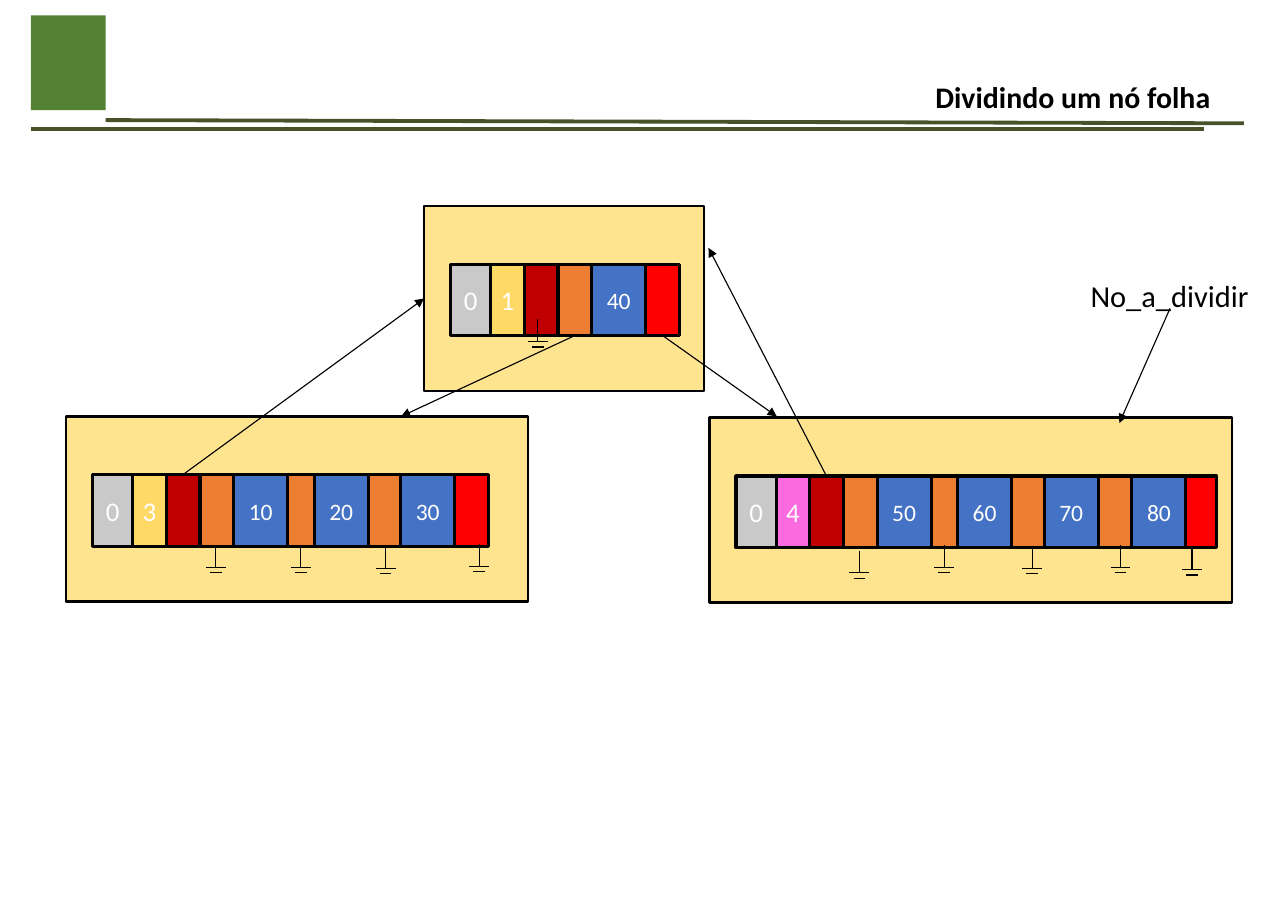
from lxml import etree
from pptx import Presentation
from pptx import util as u
from pptx.dml.color import RGBColor
from pptx.enum import shapes, text
from pptx.oxml.ns import qn


def colour(value):
    """Turn a hex string into a colour."""
    return RGBColor.from_string(value)


class TreeSlide:
    """Holds the style and the current slide, and draws each kind of element."""

    font = "Calibri"
    ink = "000000"
    grey, yellow, pink, wine = "C9C9C9", "FFD966", "FC6AE0", "C00000"
    orange, blue, red = "ED7D31", "4472C4", "FF0000"
    node_height, cell_height = 121, 46.8
    cell_left, cell_top = 17.3, 38.2

    def __init__(self, slide):
        """Keep the slide to draw on."""
        self.slide = slide

    def set_text(self, frame, words, size, ink, align, bold=False):
        """Fill a text frame with one formatted paragraph."""
        frame.text = words
        paragraph = frame.paragraphs[0]
        paragraph.alignment = align
        paragraph.font.name = self.font
        paragraph.font.size = u.Pt(size)
        paragraph.font.bold = bold
        paragraph.font.color.rgb = colour(ink)
        return paragraph

    def title(self, words, left, top, width, height):
        """Place and format the title placeholder."""
        shape = self.slide.shapes.title
        shape.left, shape.top = u.Pt(left), u.Pt(top)
        shape.width, shape.height = u.Pt(width), u.Pt(height)
        frame = shape.text_frame
        frame.auto_size = text.MSO_AUTO_SIZE.NONE
        frame.vertical_anchor = text.MSO_ANCHOR.MIDDLE
        frame.margin_left = frame.margin_right = u.Pt(7.9)
        frame.margin_top = frame.margin_bottom = u.Pt(4.3)
        paragraph = self.set_text(frame, words, 19.5, self.ink, text.PP_ALIGN.RIGHT, True)
        paragraph.line_spacing = 0.9

    def label(self, words, left, top, width, height):
        """Add a free text label."""
        box = self.slide.shapes.add_textbox(u.Pt(left), u.Pt(top), u.Pt(width), u.Pt(height))
        box.text_frame.word_wrap = False
        self.set_text(box.text_frame, words, 19.9, self.ink, text.PP_ALIGN.LEFT)

    def box(self, left, top, width, height, fill, line=0, words="", size=15.4):
        """Add a filled rectangle with an optional outline and centred text."""
        shape = self.slide.shapes.add_shape(
            shapes.MSO_SHAPE.RECTANGLE, u.Pt(left), u.Pt(top), u.Pt(width), u.Pt(height))
        shape.shadow.inherit = False
        shape.fill.solid()
        shape.fill.fore_color.rgb = colour(fill)
        if line:
            shape.line.color.rgb = colour(self.ink)
            shape.line.width = u.Pt(line)
        else:
            shape.line.fill.background()
        if words:
            frame = shape.text_frame
            frame.margin_left = frame.margin_right = 0
            frame.vertical_anchor = text.MSO_ANCHOR.MIDDLE
            self.set_text(frame, words, size, "FFFFFF", text.PP_ALIGN.CENTER)

    def line(self, start, end, ink=ink, width=0.75, arrow=False):
        """Add a straight line, with an arrowhead at its end if asked."""
        connector = self.slide.shapes.add_connector(
            shapes.MSO_CONNECTOR.STRAIGHT, *(u.Pt(value) for value in (*start, *end)))
        connector.line.color.rgb = colour(ink)
        connector.line.width = u.Pt(width)
        properties = connector.element.spPr
        if arrow:
            etree.SubElement(properties.find(qn("a:ln")), qn("a:tailEnd"), type="triangle")
        etree.SubElement(properties, qn("a:effectLst"))

    def ground(self, x, y):
        """Add the symbol of a null pointer hanging from a point."""
        self.line((x, y), (x, y + 14.4))
        for half, drop in ((6.5, 14.4), (3.8, 18)):
            self.line((x - half, y + drop), (x + half, y + drop))

    def node(self, left, top, width, keys, child_widths, last_width, count_fill):
        """Add a tree node: leaf flag, key count, parent, children and keys."""
        self.box(left, top, width, self.node_height, "FFE48F", 1.5)
        cells = [(26.2, self.grey, "0", 17.6),
                 (22, count_fill, str(len(keys)), 17.6),
                 (22, self.wine, "", 15.4)]
        for key, child_width in zip(keys, child_widths):
            cells.append((child_width, self.orange, "", 15.4))
            cells.append((35.3, self.blue, str(key), 15.4))
        cells.append((last_width, self.red, "", 15.4))
        x = left + self.cell_left
        for cell_width, fill, words, size in cells:
            self.box(x, top + self.cell_top, cell_width, self.cell_height,
                     fill, 2, words, size)
            x += cell_width


def main():
    """Build the slide and save it."""
    presentation = Presentation()
    presentation.slide_width, presentation.slide_height = u.Pt(841.68), u.Pt(595.44)
    tree = TreeSlide(presentation.slides.add_slide(presentation.slide_layouts[5]))

    tree.box(20.2, 10.1, 48.9, 61.9, "548235")
    tree.line((69.1, 78.5), (812.9, 80.6), "485228", 2.5)
    tree.line((20.2, 84.2), (787, 84.2), "485228", 2.5)
    tree.title("Dividindo um nó folha", 434.9, 45.4, 364.3, 38.9)

    child_widths = (22, 17.3, 21.3, 22)
    tree.node(43.2, 272.2, 301.7, (10, 20, 30), child_widths, 22.3, tree.yellow)
    tree.node(463.7, 272.9, 341.3, (50, 60, 70, 80), child_widths, 20, tree.pink)
    tree.node(277.2, 134.6, 182.9, (40,), child_widths, 22.3, tree.yellow)

    arrows = (((119.5, 310.3), (277.2, 195.1)), ((540, 311), (463, 162)),
              ((433.4, 219.6), (507.6, 272.2)), ((376.6, 218.9), (262.1, 272.2)),
              ((764.6, 201.6), (731.5, 276.5)))
    for start, end in arrows:
        tree.line(start, end, arrow=True)

    grounds = ((351.4, 208.8), (141.1, 356.4), (196.6, 356.4), (252, 357.1),
               (313.2, 355.7), (561.6, 360), (617, 356.4), (674.6, 357.1),
               (732.2, 356.4), (779, 357.8))
    for x, y in grounds:
        tree.ground(x, y)

    tree.label("No_a_dividir", 705.6, 177.8, 118.1, 31.7)
    presentation.save("out.pptx")


if __name__ == "__main__":
    main()
